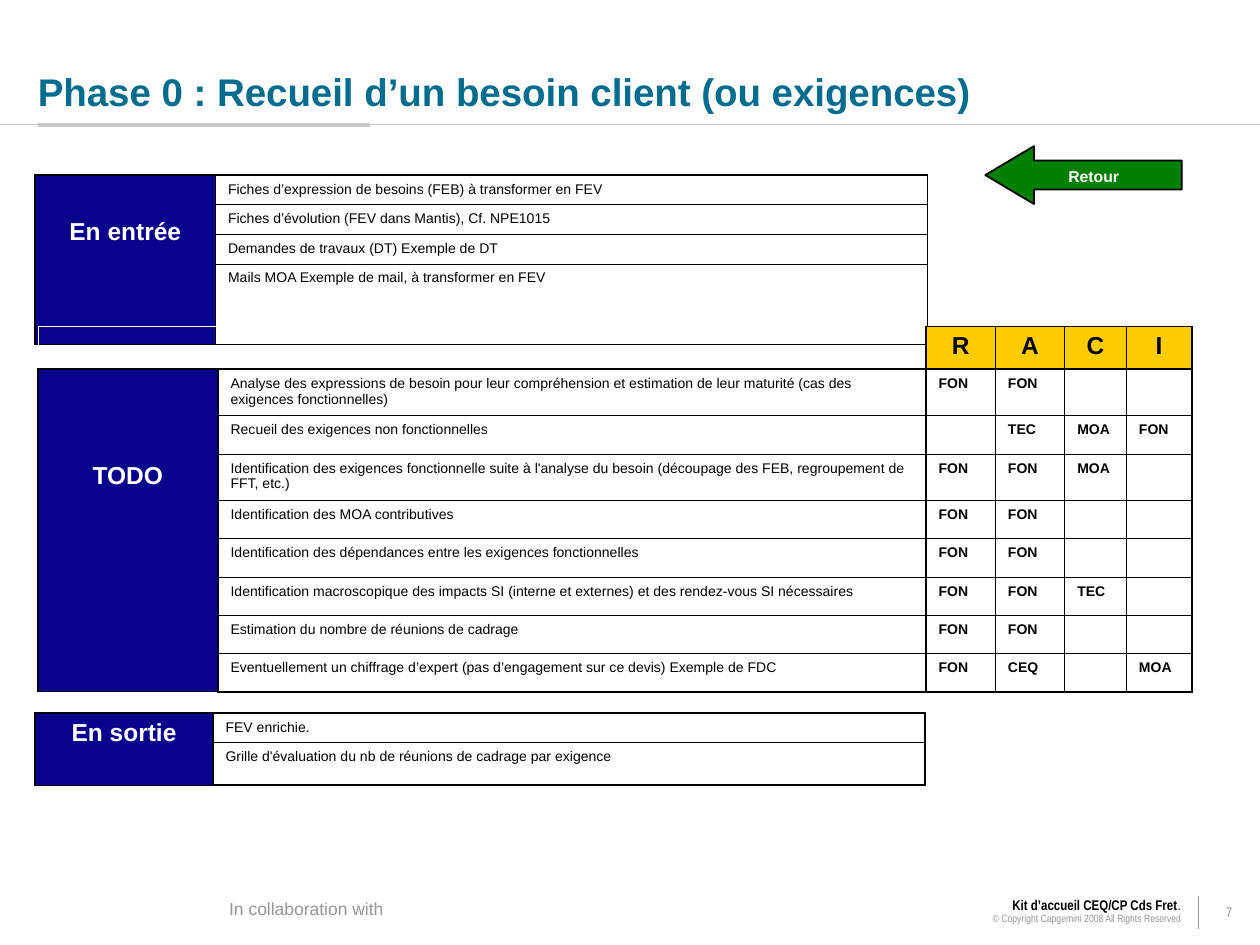
from lxml.etree import SubElement
from pptx import Presentation
from pptx.dml.color import RGBColor
from pptx.enum.shapes import MSO_CONNECTOR as Connector, MSO_SHAPE as Preset
from pptx.enum.text import MSO_ANCHOR as Anchor, PP_ALIGN as Align
from pptx.oxml import parse_xml
from pptx.oxml.ns import nsdecls, qn
from pptx.util import Inches, Pt

BLACK = RGBColor(0x00, 0x00, 0x00)
WHITE = RGBColor(0xFF, 0xFF, 0xFF)
TEAL = RGBColor(0x00, 0x6C, 0x8E)
NAVY = RGBColor(0x09, 0x03, 0x8B)
YELLOW = RGBColor(0xFF, 0xCC, 0x00)
GREEN = RGBColor(0x00, 0x80, 0x00)
GREY = RGBColor(0x96, 0x96, 0x96)
LIGHT_GREY = RGBColor(0xC8, 0xC8, 0xC8)

# The slide is a grid of 100 columns by 75 rows
UNIT = Inches(0.1)
THICK, THIN, HAIR = Pt(1.08), Pt(0.45), Pt(0.11)

presentation = Presentation()
presentation.slide_width = 100 * UNIT
presentation.slide_height = 75 * UNIT
slide = presentation.slides.add_slide(presentation.slide_layouts[6])


def write(paragraph, text, size=8, color=BLACK, bold=False, font="Arial",
          align=Align.LEFT, after=0, spacing=1.0):
    paragraph.alignment = align
    paragraph.space_after = Pt(after)
    paragraph.line_spacing = spacing
    run = paragraph.add_run()
    run.text = text
    run.font.size = Pt(size)
    run.font.name = font
    run.font.bold = bold
    run.font.color.rgb = color


def add_grid(left, top, widths, heights, thick_columns, thick_rows):
    """Add an unfilled table; the listed grid lines are thick, the rest thin."""
    frame = slide.shapes.add_table(
        len(heights), len(widths), round(left * UNIT), round(top * UNIT),
        round(sum(widths) * UNIT), round(sum(heights) * UNIT))
    table = frame.table
    table.first_row = table.horz_banding = False
    for column, width in zip(table.columns, widths):
        column.width = round(width * UNIT)
    for row, height in zip(table.rows, heights):
        row.height = round(height * UNIT)
    for r in range(len(heights)):
        for c in range(len(widths)):
            cell = table.cell(r, c)
            properties = cell._tc.get_or_add_tcPr()
            sides = {"lnL": c in thick_columns, "lnR": c + 1 in thick_columns,
                     "lnT": r in thick_rows, "lnB": r + 1 in thick_rows}
            for side, thick in sides.items():
                properties.append(parse_xml(
                    f'<a:{side} {nsdecls("a")} w="{THICK if thick else THIN}"><a:solidFill>'
                    f'<a:srgbClr val="{BLACK}"/></a:solidFill></a:{side}>'))
            cell.fill.background()
            # Cells left empty keep a 12-point line
            ending = SubElement(cell.text_frame.paragraphs[0]._p, qn("a:endParaRPr"))
            ending.set("sz", "1200")
    return table


# Rules under the title and beside the page number
for x1, y1, x2, y2, color, weight in [
        (0, 9.9, 100, 9.9, LIGHT_GREY, 0.75),
        (3, 9.9, 29.4, 9.9, LIGHT_GREY, 2.25),
        (95.1, 71.1, 95.1, 73.7, GREY, 0.75)]:
    rule = slide.shapes.add_connector(
        Connector.STRAIGHT, *[round(value * UNIT) for value in (x1, y1, x2, y2)])
    rule.line.color.rgb = color
    rule.line.width = Pt(weight)
    SubElement(rule._element.spPr, qn("a:effectLst"))

# Inputs and outputs: a navy heading beside a list
for heading, padding, left, top, heading_width, heights, items in [
        ("En entrée", 3.4, 2.8, 13.9, 14.3, [2.35, 2.35, 2.35, 6.4],
         ["Fiches d’expression de besoins (FEB) à transformer en FEV",
          "Fiches d’évolution (FEV dans Mantis), Cf. NPE1015",
          "Demandes de travaux (DT) Exemple de DT",
          "Mails MOA Exemple de mail, à transformer en FEV"]),
        ("En sortie", 0.5, 2.8, 56.6, 14.1, [2.35, 3.35],
         ["FEV enrichie.",
          "Grille d'évaluation du nb de réunions de cadrage par exigence"])]:
    table = add_grid(left, top, [heading_width, 56.5], heights, {0, 1, 2}, {0, len(items)})
    head = table.cell(0, 0)
    head.merge(table.cell(len(items) - 1, 0))
    head.fill.solid()
    head.fill.fore_color.rgb = NAVY
    head.margin_top = round(padding * UNIT)
    write(head.text_frame.paragraphs[0], heading, size=14, color=WHITE, bold=True,
          align=Align.CENTER, after=8.8)
    for r, item in enumerate(items):
        write(table.cell(r, 1).text_frame.paragraphs[0], item, after=5)

# Task table with its RACI columns
tasks = [
    ("Analyse des expressions de besoin pour leur compréhension et estimation de leur "
     "maturité (cas des exigences fonctionnelles)", "FON", "FON", "", ""),
    ("Recueil des exigences non fonctionnelles", "", "TEC", "MOA", "FON"),
    ("Identification des exigences fonctionnelle suite à l'analyse du besoin (découpage "
     "des FEB, regroupement de FFT, etc.)", "FON", "FON", "MOA", ""),
    ("Identification des MOA contributives", "FON", "FON", "", ""),
    ("Identification des dépendances entre les exigences fonctionnelles", "FON", "FON", "", ""),
    ("Identification macroscopique des impacts SI (interne et externes) et des rendez-vous "
     "SI nécessaires", "FON", "FON", "TEC", ""),
    ("Estimation du nombre de réunions de cadrage", "FON", "FON", "", ""),
    ("Eventuellement un chiffrage d’expert (pas d’engagement sur ce devis) Exemple de FDC",
     "FON", "CEQ", "", "MOA")]
raci = add_grid(3, 25.9, [14.3, 56.2, 5.5, 5.5, 4.9, 5.2],
                [3.4, 3.7, 2.87, 3.7] + 5 * [2.87], {0, 1, 2, 6}, {0, 1, 9})

corner = raci.cell(0, 0)
corner.merge(raci.cell(0, 1))
for side in ("lnL", "lnT"):
    for cell in (corner, raci.cell(0, 1)):
        border = cell._tc.tcPr.find(qn(f"a:{side}"))
        border.set("w", str(HAIR))
        border.find(".//" + qn("a:srgbClr")).set("val", str(WHITE))

for c, letter in enumerate("RACI", start=2):
    cell = raci.cell(0, c)
    cell.fill.solid()
    cell.fill.fore_color.rgb = YELLOW
    write(cell.text_frame.paragraphs[0], letter, size=14, bold=True,
          align=Align.CENTER, after=8.8)

todo = raci.cell(1, 0)
todo.merge(raci.cell(len(tasks), 0))
todo.fill.solid()
todo.fill.fore_color.rgb = NAVY
todo.margin_top = round(7.4 * UNIT)
write(todo.text_frame.paragraphs[0], "TODO", size=14, color=WHITE, bold=True,
      align=Align.CENTER, after=8.8)

for r, task in enumerate(tasks, start=1):
    for c, text in enumerate(task, start=1):
        if text:
            write(raci.cell(r, c).text_frame.paragraphs[0], text, bold=c > 1, after=5)

# Return arrow
arrow = slide.shapes.add_shape(
    Preset.LEFT_ARROW, *[round(value * UNIT) for value in (78.2, 11.6, 15.6, 4.6)])
arrow.adjustments[0] = 0.5
arrow.adjustments[1] = 0.84
arrow.shadow.inherit = False
arrow.fill.solid()
arrow.fill.fore_color.rgb = GREEN
arrow.line.color.rgb = BLACK
arrow.line.width = Pt(1)

# Title, arrow label and footer texts
footer = dict(spacing=0.85, font="Arial Narrow")
for place, anchor, wrap, text, style in [
        ((3, 0, 94.9, 9.1), Anchor.BOTTOM, True,
         "Phase 0 : Recueil d’un besoin client (ou exigences)",
         dict(size=22, color=TEAL, bold=True)),
        ((79.7, 12.7, 14.2, 2.5), Anchor.TOP, True, "Retour",
         dict(size=9, color=WHITE, bold=True, align=Align.CENTER)),
        ((17.2, 71, 14.2, 2.4), Anchor.TOP, False, "In collaboration with",
         dict(size=10, color=GREY, align=Align.CENTER, spacing=0.85)),
        ((95.1, 71.1, 4.9, 2.7), Anchor.MIDDLE, True, "7",
         dict(footer, color=GREY, align=Align.CENTER)),
        ((44.9, 70.9, 49.8, 3), Anchor.TOP, True, "Kit d’accueil CEQ/CP Cds Fret",
         dict(footer, bold=True, align=Align.RIGHT))]:
    box = slide.shapes.add_textbox(*[round(value * UNIT) for value in place])
    frame = box.text_frame
    frame.word_wrap = wrap
    frame.vertical_anchor = anchor
    if anchor == Anchor.BOTTOM:
        frame.margin_left = frame.margin_top = frame.margin_right = frame.margin_bottom = 0
    write(frame.paragraphs[0], text, **style)

# The last box also holds the full stop and the copyright line
write(frame.paragraphs[0], ".", align=Align.RIGHT, **footer)
write(frame.add_paragraph(), "© Copyright Capgemini 2008 All Rights Reserved",
      size=6, color=GREY, align=Align.RIGHT, **footer)

presentation.save("out.pptx")
